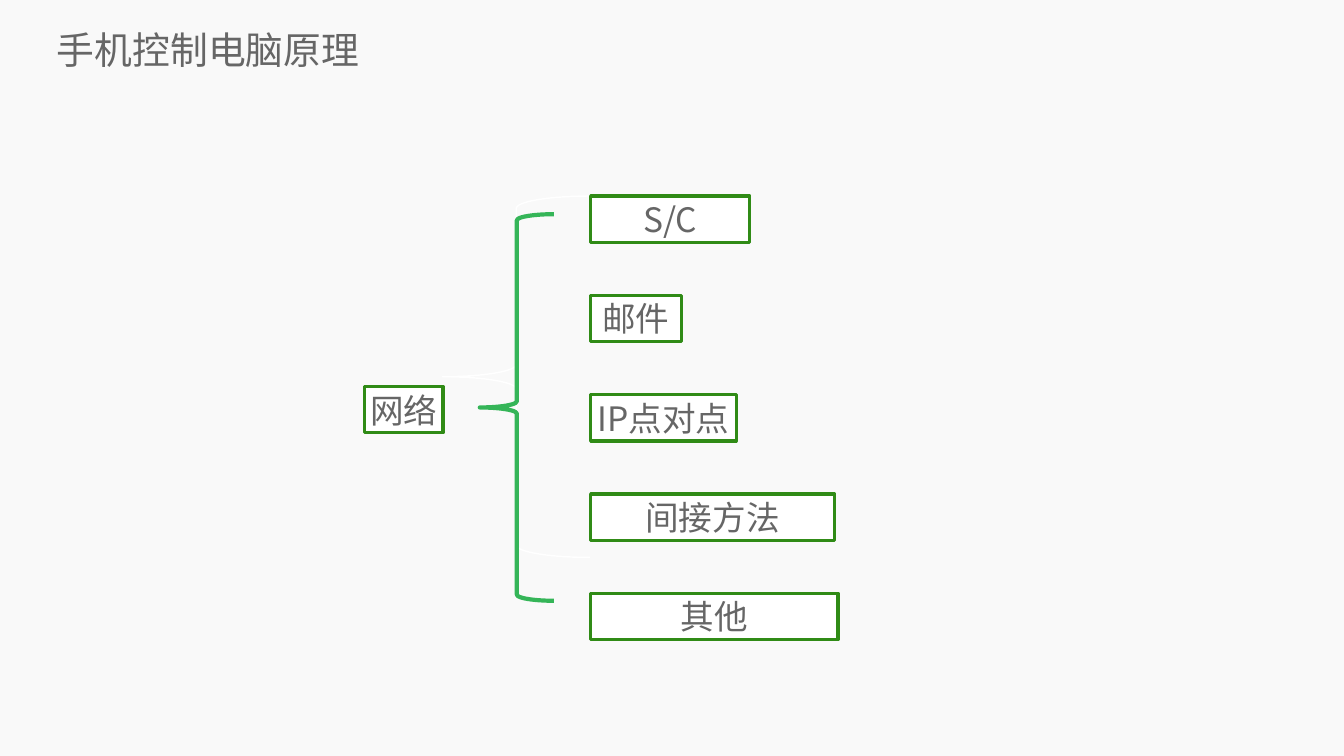
from dataclasses import dataclass

from lxml.etree import SubElement
from pptx import Presentation
from pptx.dml.color import RGBColor
from pptx.enum.shapes import MSO_SHAPE
from pptx.enum.text import MSO_ANCHOR, MSO_AUTO_SIZE, PP_ALIGN
from pptx.oxml.ns import qn
from pptx.util import Inches, Pt


@dataclass(frozen=True)
class Theme:
    """Hold the colours, type sizes and line widths."""
    font: str = "Noto Sans CJK SC"
    background: str = "F9F9F9"
    text: str = "666666"
    box_fill: str = "FFFFFF"
    box_line: str = "308B16"
    pale_brace: str = "FFFFFF"
    green_brace: str = "35B558"
    title_size: int = 54
    topic_size: int = 48
    box_line_width: float = 4.5
    pale_line_width: float = 2
    green_line_width: float = 6


@dataclass(frozen=True)
class Box:
    """Describe an area whose inner boxes are given in percent of it."""
    left: float
    top: float
    width: float
    height: float

    def inner(self, left, top, width, height):
        """Return the inner box at the given percentages."""
        return Box(
            self.left + self.width * left / 100,
            self.top + self.height * top / 100,
            self.width * width / 100,
            self.height * height / 100,
        )

    def place(self):
        """Return the position and size in whole units."""
        return [round(value) for value in (self.left, self.top, self.width, self.height)]


THEME = Theme()
ROW_HEIGHT = 10.45
ROW_PITCH = 22.39
TOPIC_LEFT = 47.7
TOPICS = [
    ("S/C", 33.65),
    ("邮件", 19.17),
    ("IP点对点", 30.78),
    ("间接方法", 51.54),
    ("其他", 52.29),
]


def apply_format(target, values):
    """Set each named attribute on the target."""
    for name, value in values.items():
        setattr(target, name, value)


def write_text(shape, text, size, alignment, margin, wrap):
    """Write one formatted line into a shape."""
    frame = shape.text_frame
    apply_format(frame, {
        "auto_size": MSO_AUTO_SIZE.NONE,
        "word_wrap": wrap,
        "vertical_anchor": MSO_ANCHOR.MIDDLE,
        "margin_left": margin,
        "margin_right": margin,
        "margin_top": margin,
        "margin_bottom": margin,
    })
    paragraph = frame.paragraphs[0]
    paragraph.alignment = alignment
    run = paragraph.add_run()
    run.text = text
    apply_format(run.font, {"name": THEME.font, "size": Pt(size)})
    run.font.color.rgb = RGBColor.from_string(THEME.text)
    SubElement(run.font._element, qn("a:ea"), typeface=THEME.font)


def add_outlined(slide, kind, box, color, width):
    """Add a preset shape with a plain outline and no shadow."""
    shape = slide.shapes.add_shape(kind, *box.place())
    shape.shadow.inherit = False
    shape.line.color.rgb = RGBColor.from_string(color)
    shape.line.width = Pt(width)
    return shape


def add_topic(slide, box, text):
    """Add a white box with a centred label."""
    shape = add_outlined(slide, MSO_SHAPE.RECTANGLE, box, THEME.box_line, THEME.box_line_width)
    shape.fill.solid()
    shape.fill.fore_color.rgb = RGBColor.from_string(THEME.box_fill)
    write_text(shape, text, THEME.topic_size, PP_ALIGN.CENTER, Inches(0.06), False)


def add_brace(slide, box, color, width):
    """Add an unfilled left brace."""
    brace = add_outlined(slide, MSO_SHAPE.LEFT_BRACE, box, color, width)
    brace.fill.background()


def add_title(slide, box):
    """Add the slide title."""
    shape = slide.shapes.add_textbox(*box.place())
    write_text(shape, "手机控制电脑原理", THEME.title_size, PP_ALIGN.LEFT, 0, True)


def add_network_tree(slide, box):
    """Add the root, the braces and the column of topics."""
    add_topic(slide, box.inner(0, 42.95, 16.51, ROW_HEIGHT), "网络")
    add_brace(slide, box.inner(16.4, 0, 31.2, 81.48), THEME.pale_brace, THEME.pale_line_width)
    add_brace(slide, box.inner(24.28, 4.09, 15.65, 87.16), THEME.green_brace, THEME.green_line_width)
    for row, (text, width) in enumerate(TOPICS):
        add_topic(slide, box.inner(TOPIC_LEFT, row * ROW_PITCH, width, ROW_HEIGHT), text)


def main():
    """Build and save the presentation."""
    presentation = Presentation()
    apply_format(presentation, {"slide_width": Inches(26.67), "slide_height": Inches(15)})
    slide = presentation.slides.add_slide(presentation.slide_layouts[6])
    slide.background.fill.solid()
    slide.background.fill.fore_color.rgb = RGBColor.from_string(THEME.background)
    page = Box(0, 0, presentation.slide_width, presentation.slide_height)
    add_title(slide, page.inner(4.24, 3.13, 94.34, 6.8))
    add_network_tree(slide, page.inner(27.15, 25.93, 35.21, 58.67))
    presentation.save("out.pptx")


if __name__ == "__main__":
    main()
